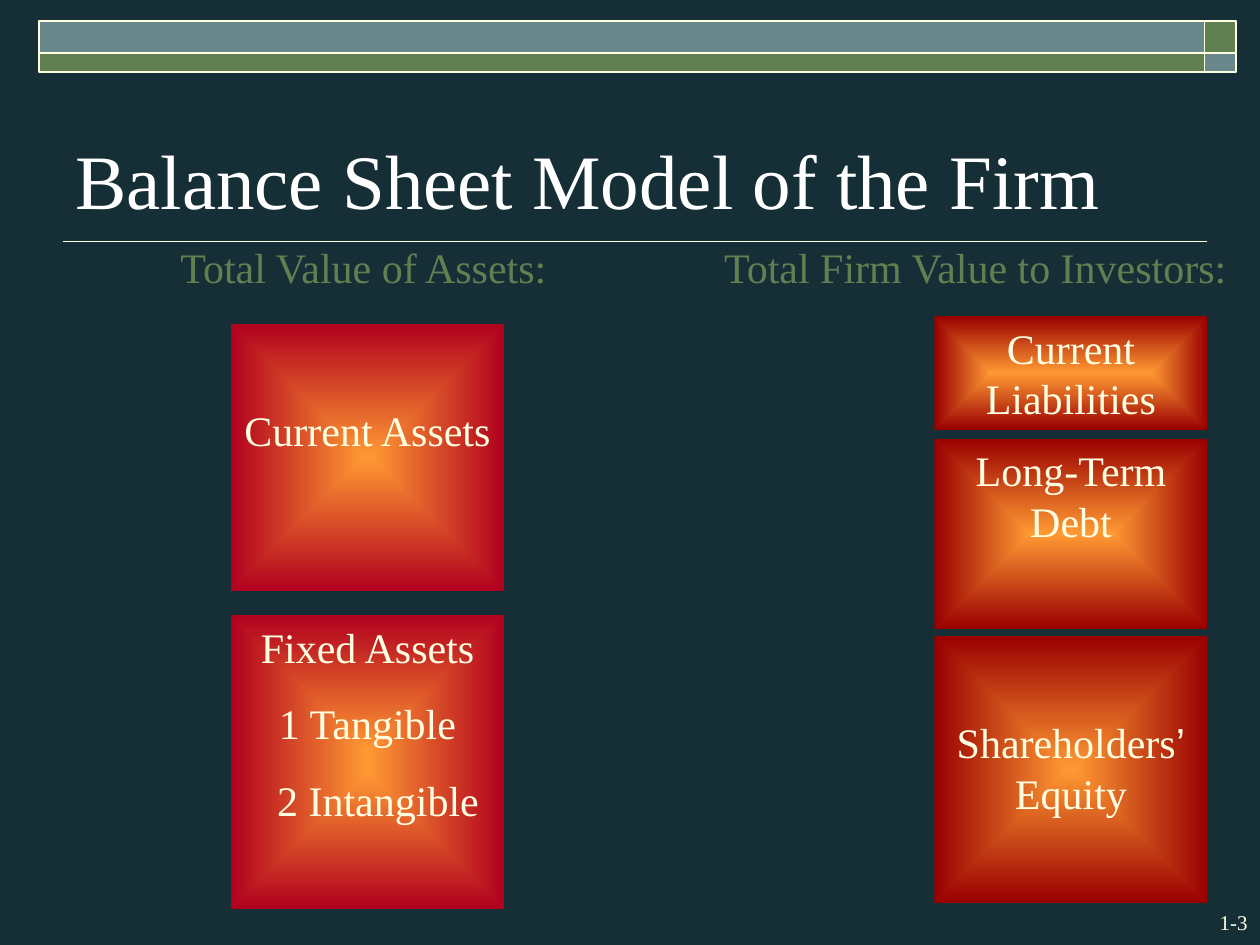
"""Builds the balance sheet model slide, with assets facing claims of investors."""
from dataclasses import dataclass

import lxml.etree
import pptx
import pptx.dml.color
import pptx.enum.shapes
import pptx.enum.text
import pptx.oxml.ns
import pptx.util

Pt = pptx.util.Pt
ALIGN = pptx.enum.text.PP_ALIGN
ANCHOR = pptx.enum.text.MSO_ANCHOR


@dataclass(frozen=True)
class Theme:
    background: str = "162E36"
    slate: str = "69888B"
    moss: str = "618052"
    cream: str = "FFFFE3"
    white: str = "FFFFFF"
    glow: str = "FF9933"
    asset_edge: str = "B1011E"
    claim_edge: str = "990000"
    font: str = "Times New Roman"
    quote_font: str = "Arial"
    title_size: int = 44
    body_size: int = 24
    number_size: int = 12


THEME = Theme()


def rgb(value):
    return pptx.dml.color.RGBColor.from_string(value)


def write(paragraph, text, size, color, align):
    head, quote, tail = text.partition("’")
    paragraph.text = head
    for part in filter(None, (quote, tail)):
        paragraph.add_run().text = part
    paragraph.alignment = align
    for run in paragraph.runs:
        run.font.name = THEME.quote_font if run.text == "’" else THEME.font
        run.font.size = Pt(size)
        run.font.color.rgb = rgb(color)


def add_label(slide, bounds, text, size, color, align=ALIGN.LEFT, anchor=ANCHOR.TOP):
    frame = slide.shapes.add_textbox(*map(Pt, bounds)).text_frame
    frame.word_wrap = True
    frame.vertical_anchor = anchor
    write(frame.paragraphs[0], text, size, color, align)
    return frame.paragraphs[0]


def add_heading(slide, bounds, text, align):
    heading = add_label(slide, bounds, text, THEME.body_size, THEME.moss, align)
    heading.line_spacing = 0.9
    if align == ALIGN.LEFT:
        heading._p.get_or_add_pPr().set("marL", str(Pt(36)))


def add_rectangle(slide, bounds):
    rectangle = slide.shapes.add_shape(
        pptx.enum.shapes.MSO_SHAPE.RECTANGLE, *map(Pt, bounds))
    rectangle.shadow.inherit = False
    return rectangle


def add_banner(slide):
    columns = ((22.3, 666), (688.3, 18))
    rows = ((12.2, 18), (30.2, 10.8))
    for column, (left, width) in enumerate(columns):
        for row, (top, height) in enumerate(rows):
            tile = add_rectangle(slide, (left, top, width, height))
            tile.fill.solid()
            tile.fill.fore_color.rgb = rgb((THEME.slate, THEME.moss)[(row + column) % 2])
            tile.line.color.rgb = rgb(THEME.cream)
            tile.line.width = Pt(1)


def add_title_rule(slide):
    rule = slide.shapes.add_connector(
        pptx.enum.shapes.MSO_CONNECTOR.STRAIGHT, Pt(690), Pt(138), Pt(36), Pt(138))
    rule.line.color.rgb = rgb(THEME.cream)
    rule.line.width = Pt(1)
    lxml.etree.SubElement(rule.element.spPr, pptx.oxml.ns.qn("a:effectLst"))


def fill_from_centre(block, edge):
    qn = pptx.oxml.ns.qn
    block.fill.gradient()
    for stop, color in zip(block.fill.gradient_stops, (THEME.glow, edge)):
        stop.color.rgb = rgb(color)
    direction = block.element.spPr.find(".//" + qn("a:lin"))
    gradient = direction.getparent()
    gradient.remove(direction)
    centre = lxml.etree.SubElement(gradient, qn("a:path"), {"path": "rect"})
    lxml.etree.SubElement(centre, qn("a:fillToRect"), dict.fromkeys("ltrb", "50000"))


def add_block(slide, bounds, edge, items, inset=3.6):
    block = add_rectangle(slide, bounds)
    fill_from_centre(block, edge)
    block.line.fill.background()
    frame = block.text_frame
    frame.word_wrap = True
    frame.vertical_anchor = ANCHOR.TOP
    frame.margin_top = Pt(inset)
    for index, item in enumerate(items):
        entry = frame.add_paragraph() if index else frame.paragraphs[0]
        write(entry, item, THEME.body_size, THEME.cream, ALIGN.CENTER)
        if index:
            entry.space_before = Pt(15)
    return frame


def main():
    deck = pptx.Presentation()
    deck.slide_width, deck.slide_height = Pt(720), Pt(540)
    slide = deck.slides.add_slide(deck.slide_layouts[6])
    slide.background.fill.solid()
    slide.background.fill.fore_color.rgb = rgb(THEME.background)

    add_title_rule(slide)
    add_banner(slide)
    add_label(slide, (660, 516, 60, 21.6), "1-3",
              THEME.number_size, THEME.cream, ALIGN.RIGHT)
    add_label(slide, (36, 48, 648, 84), "Balance Sheet Model of the Firm",
              THEME.title_size, THEME.white, anchor=ANCHOR.BOTTOM)

    lowered = 46.2
    add_block(slide, (132, 185, 156, 152.6), THEME.asset_edge,
              ["Current Assets"], lowered)
    fixed_assets = add_block(slide, (132, 351.4, 156, 167.8), THEME.asset_edge,
                             ["Fixed Assets", "1 Tangible", "2 Intangible"])
    fixed_assets.paragraphs[-1]._p.get_or_add_pPr().set("marL", str(Pt(12)))
    add_heading(slide, (60, 138, 324, 33), "Total Value of Assets:", ALIGN.LEFT)

    claims = (
        (180.8, 64.8, "Current Liabilities", 3.6),
        (250.6, 108.7, "Long-Term Debt", 3.6),
        (363.5, 152.6, "Shareholders’ Equity", lowered),
    )
    for top, height, claim, inset in claims:
        add_block(slide, (534, top, 156, height), THEME.claim_edge, [claim], inset)
    add_heading(slide, (306, 138, 402, 33), "Total Firm Value to Investors:", ALIGN.RIGHT)

    deck.save("out.pptx")


if __name__ == "__main__":
    main()
